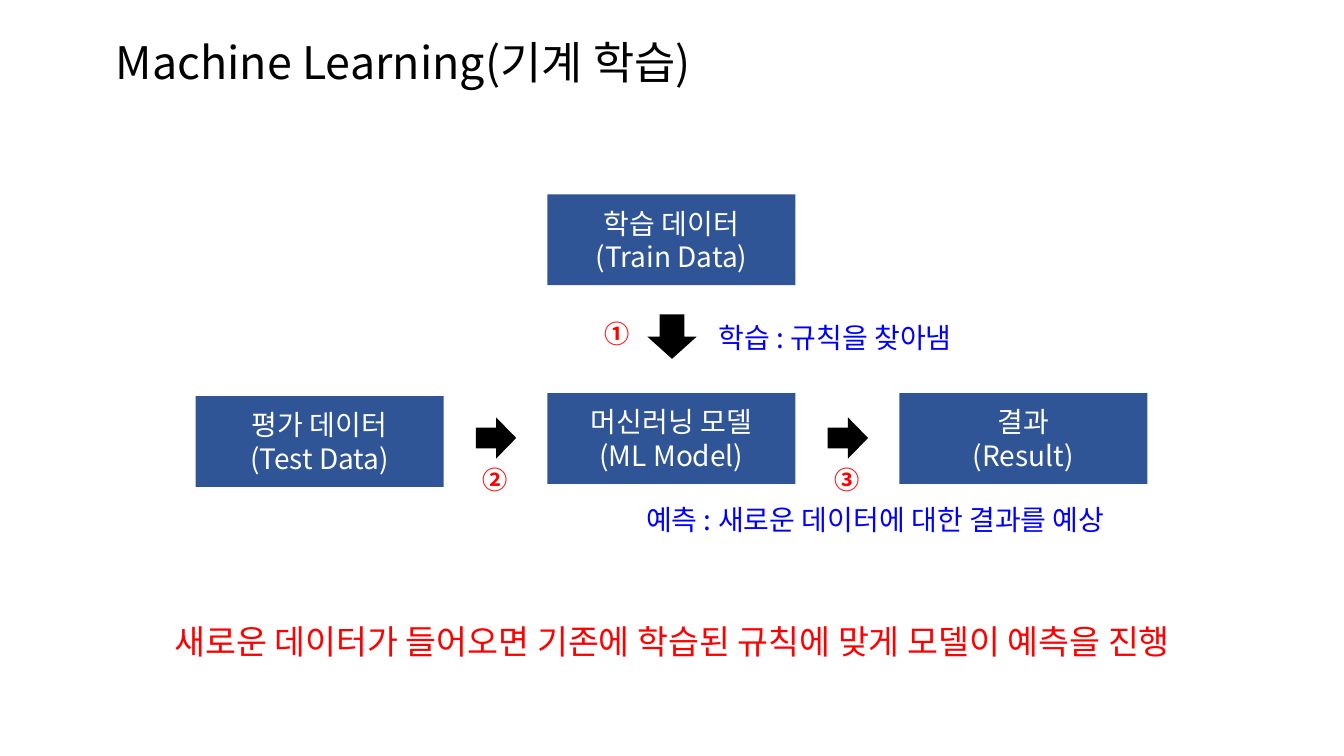
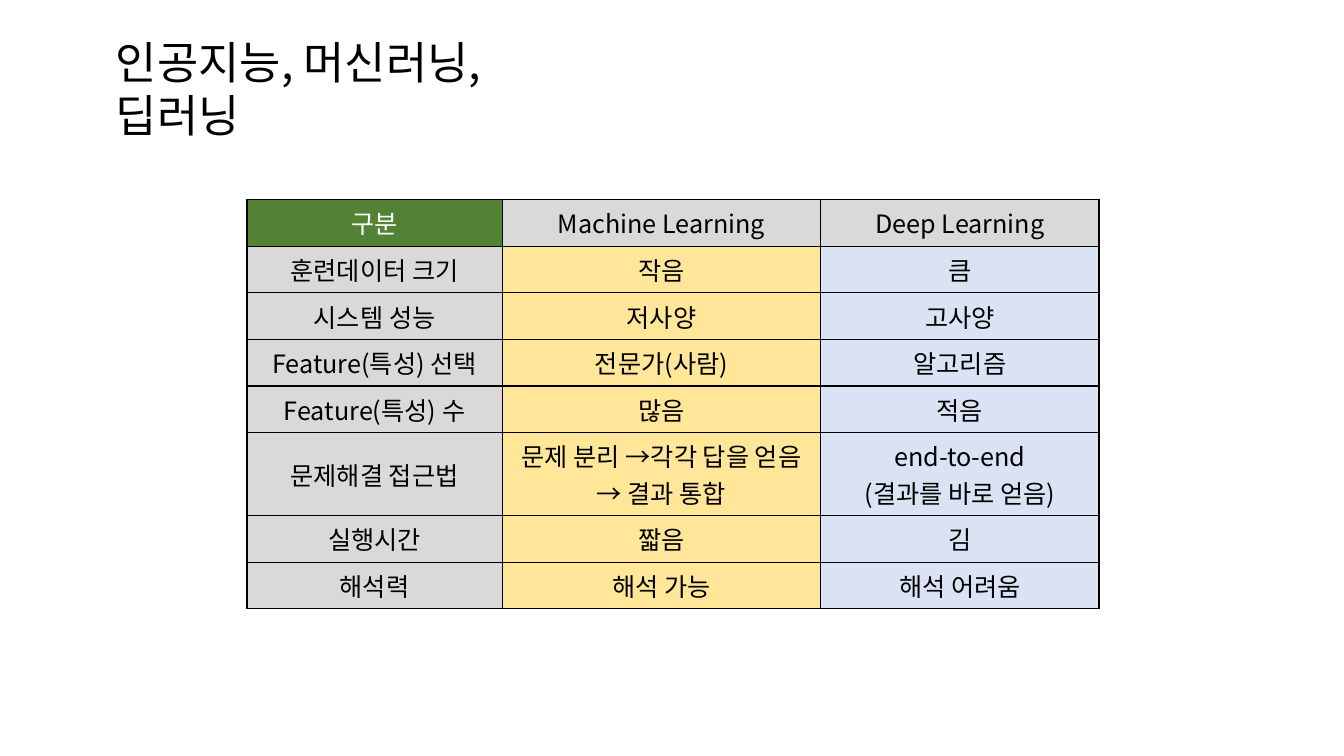
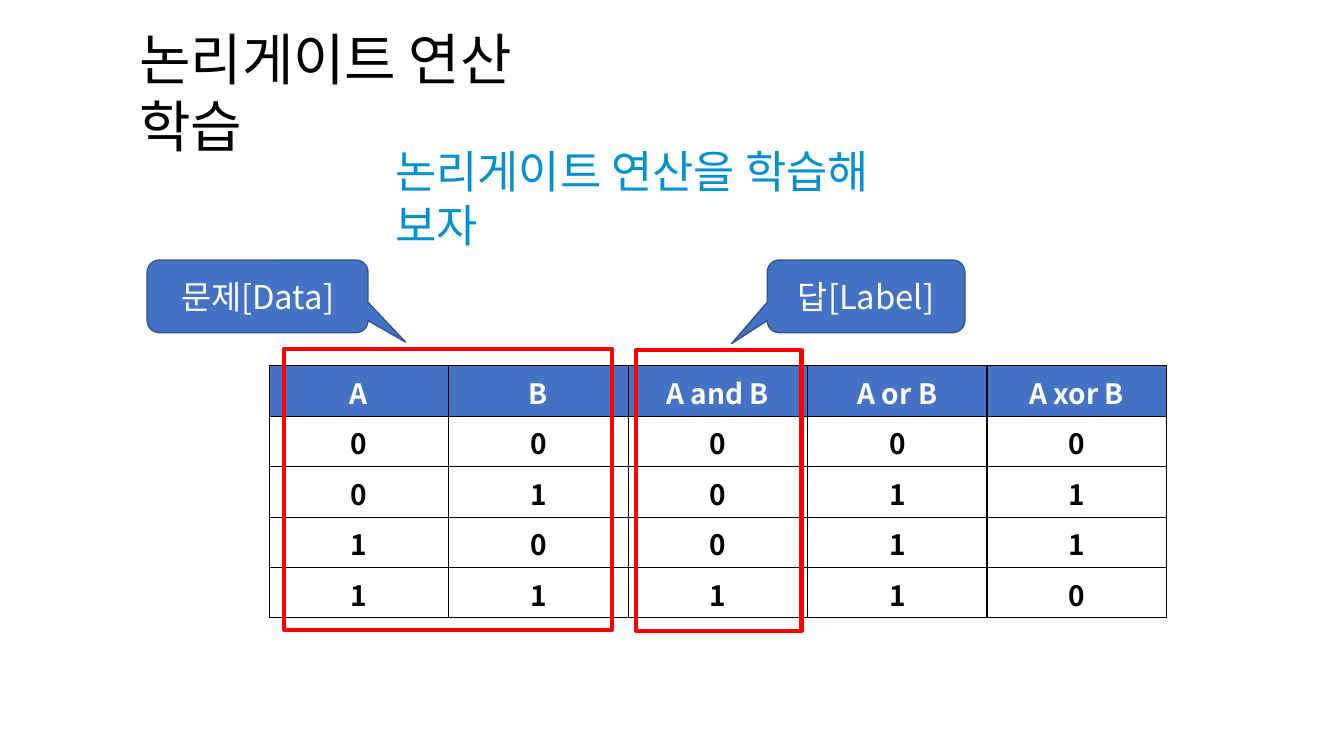
from pptx import Presentation
from pptx.dml.color import RGBColor
from pptx.enum.shapes import MSO_SHAPE
from pptx.enum.text import MSO_ANCHOR, MSO_AUTO_SIZE, PP_ALIGN
from pptx.oxml.ns import qn
from pptx.util import Inches, Pt
from lxml import etree

# Shared style
FONT = "Noto Sans CJK KR"
BLACK = RGBColor(0x00, 0x00, 0x00)
WHITE = RGBColor(0xFF, 0xFF, 0xFF)
RED = RGBColor(0xFF, 0x00, 0x00)
BLUE = RGBColor(0x00, 0x00, 0xFF)
SKY = RGBColor(0x00, 0x90, 0xD0)
NAVY = RGBColor(0x2F, 0x55, 0x97)
ACCENT = RGBColor(0x44, 0x72, 0xC4)
ACCENT_DARK = RGBColor(0x32, 0x54, 0x91)
GREEN = RGBColor(0x54, 0x82, 0x35)
GRAY = RGBColor(0xD9, 0xD9, 0xD9)
YELLOW = RGBColor(0xFF, 0xE6, 0x99)
PALE_BLUE = RGBColor(0xDA, 0xE3, 0xF3)
TITLE_ONLY = 5

# Slide 1: flow of machine learning
FLOW_LEFT, FLOW_STEP, FLOW_TOP = 1.94, 3.49, 3.9
BOX_WIDTH, BOX_HEIGHT = 2.46, 0.9
FLOW_BOXES = [  # column, top, text
    (1, 1.93, "학습 데이터\n(Train Data)"),
    (0, 3.93, "평가 데이터\n(Test Data)"),
    (1, FLOW_TOP, "머신러닝 모델\n(ML Model)"),
    (2, FLOW_TOP, "결과\n(Result)"),
]
FLOW_STEPS = ["②", "③"]
FLOW_NOTES = [  # position, text, size, colour, alignment
    ((7.03, 3.13, 2.63, 0.44), "학습 : 규칙을 찾아냄", 20, BLUE, PP_ALIGN.LEFT),
    ((6.31, 4.94, 5.07, 0.44), "예측 : 새로운 데이터에 대한 결과를 예상", 20, BLUE, PP_ALIGN.LEFT),
    ((1.27, 6.11, 10.79, 0.5), "새로운 데이터가 들어오면 기존에 학습된 규칙에 맞게 모델이 예측을 진행",
     24, RED, PP_ALIGN.CENTER),
]

# Slide 2: comparison table
COMPARISON = [
    ("구분", "Machine Learning", "Deep Learning"),
    ("훈련데이터 크기", "작음", "큼"),
    ("시스템 성능", "저사양", "고사양"),
    ("Feature(특성) 선택", "전문가(사람)", "알고리즘"),
    ("Feature(특성) 수", "많음", "적음"),
    ("문제해결 접근법", "문제 분리 →각각 답을 얻음 → 결과 통합", "end-to-end\n(결과를 바로 얻음)"),
    ("실행시간", "짧음", "김"),
    ("해석력", "해석 가능", "해석 어려움"),
]
APPROACH_ROW = 5

# Slide 3: truth table of logic gates
GATES = [("A", "B", "A and B", "A or B", "A xor B")] + [
    (a, b, a & b, a | b, a ^ b) for a in (0, 1) for b in (0, 1)
]
FRAMES = [(2.82, 3.46, 3.25, 2.79), (6.31, 3.47, 1.64, 2.79)]
CALLOUTS = [  # position, pointer, text
    ((1.46, 2.58, 2.19, 0.72), (0.67, 0.63), "문제[Data]"),
    ((7.61, 2.58, 1.96, 0.72), (-0.68, 0.65), "답[Label]"),
]


def inches(position):
    return [Inches(value) for value in position]


def write_text(frame, text, size=18, color=BLACK, bold=False, align=PP_ALIGN.LEFT,
               anchor=MSO_ANCHOR.TOP):
    """Write each line of text as one formatted paragraph."""
    frame.word_wrap = True
    frame.vertical_anchor = anchor
    for index, line in enumerate(text.split("\n")):
        paragraph = frame.paragraphs[0] if index == 0 else frame.add_paragraph()
        paragraph.alignment = align
        run = paragraph.add_run()
        run.text = line
        run.font.size = Pt(size)
        run.font.bold = bold
        run.font.color.rgb = color
        run.font.name = FONT
        east_asian = etree.SubElement(run.font._element, qn("a:ea"))
        east_asian.set("typeface", FONT)


def add_slide(presentation, title, position, size=32):
    slide = presentation.slides.add_slide(presentation.slide_layouts[TITLE_ONLY])
    shape = slide.shapes.title
    shape.left, shape.top, shape.width, shape.height = inches(position)
    shape.text_frame.auto_size = MSO_AUTO_SIZE.NONE
    write_text(shape.text_frame, title, size=size)
    return slide


def add_text(slide, position, text, **text_format):
    frame = slide.shapes.add_textbox(*inches(position)).text_frame
    write_text(frame, text, **text_format)
    return frame


def add_shape(slide, kind, position, fill=None, line=None, line_width=1):
    shape = slide.shapes.add_shape(kind, *inches(position))
    shape.shadow.inherit = False
    if fill is None:
        shape.fill.background()
    else:
        shape.fill.solid()
        shape.fill.fore_color.rgb = fill
    if line is None:
        shape.line.fill.background()
    else:
        shape.line.color.rgb = line
        shape.line.width = Pt(line_width)
    return shape


def add_borders(cell):
    properties = cell._tc.get_or_add_tcPr()
    for side in ("lnL", "lnR", "lnT", "lnB"):
        line = etree.SubElement(properties, qn(f"a:{side}"), w=str(Pt(1)))
        fill = etree.SubElement(line, qn("a:solidFill"))
        etree.SubElement(fill, qn("a:srgbClr"), val=str(BLACK))


def add_table(slide, left, top, widths, heights, rows, style):
    """Build a table; style(row, column) gives fill, margins and text format."""
    position = (left, top, sum(widths), sum(heights))
    table = slide.shapes.add_table(len(rows), len(widths), *inches(position)).table
    table.first_row = table.horz_banding = False
    for column, width in zip(table.columns, widths):
        column.width = Inches(width)
    for row, height in zip(table.rows, heights):
        row.height = Inches(height)
    for row_index, values in enumerate(rows):
        for column_index, value in enumerate(values):
            cell = table.cell(row_index, column_index)
            fill, (side, edge), text_format = style(row_index, column_index)
            add_borders(cell)
            cell.fill.solid()
            cell.fill.fore_color.rgb = fill
            cell.margin_left = cell.margin_right = Inches(side)
            cell.margin_top = cell.margin_bottom = Inches(edge)
            anchor = text_format.pop("anchor", MSO_ANCHOR.TOP)
            write_text(cell.text_frame, str(value), align=PP_ALIGN.CENTER, **text_format)
            cell.vertical_anchor = anchor


def comparison_style(row, column):
    if row == 0:
        fill = GREEN if column == 0 else GRAY
    else:
        fill = (GRAY, YELLOW, PALE_BLUE)[column]
    text_format = {"size": 18, "color": WHITE if fill == GREEN else BLACK}
    if (row, column) == (APPROACH_ROW, 0):
        text_format["anchor"] = MSO_ANCHOR.MIDDLE
    return fill, (0.1, 0.05), text_format


def gate_style(row, column):
    fill, color = (ACCENT, WHITE) if row == 0 else (WHITE, BLACK)
    return fill, (0.12, 0.06), {"size": 20, "color": color, "bold": True}


def build_flow(presentation):
    slide = add_slide(presentation, "Machine Learning(기계 학습)", (1.05, 0.29, 6.19, 0.64))
    for column, top, text in FLOW_BOXES:
        position = (FLOW_LEFT + column * FLOW_STEP, top, BOX_WIDTH, BOX_HEIGHT)
        box = add_shape(slide, MSO_SHAPE.RECTANGLE, position, fill=NAVY)
        write_text(box.text_frame, text, size=20, color=WHITE, align=PP_ALIGN.CENTER,
                   anchor=MSO_ANCHOR.MIDDLE)

    # Numbered arrows
    number_format = {"color": RED, "bold": True, "align": PP_ALIGN.CENTER}
    add_shape(slide, MSO_SHAPE.DOWN_ARROW, (6.42, 3.12, 0.49, 0.44), fill=BLACK)
    add_text(slide, (5.88, 3.11, 0.49, 0.4), "①", **number_format)
    for index, number in enumerate(FLOW_STEPS):
        offset = index * FLOW_STEP
        add_shape(slide, MSO_SHAPE.RIGHT_ARROW, (4.72 + offset, 4.14, 0.4, 0.41), fill=BLACK)
        add_text(slide, (4.67 + offset, 4.56, 0.49, 0.4), number, **number_format)

    for position, text, size, color, align in FLOW_NOTES:
        add_text(slide, position, text, size=size, color=color, align=align)


def build_comparison(presentation):
    slide = add_slide(presentation, "인공지능, 머신러닝, 딥러닝", (1.05, 0.29, 4.92, 0.64))
    heights = [0.37 if row == APPROACH_ROW else 0.41 for row in range(len(COMPARISON))]
    add_table(slide, 2.45, 1.98, [2.53, 3.16, 2.76], heights, COMPARISON, comparison_style)


def build_gates(presentation):
    slide = add_slide(presentation, "논리게이트 연산 학습", (1.28, 0.19, 4.8, 0.77), size=40)
    frame = add_text(slide, (3.79, 1.37, 5.75, 0.67), "논리게이트 연산을 학습해 보자",
                     size=32, color=SKY)
    frame.margin_left = frame.margin_right = Inches(0.13)
    frame.margin_top = frame.margin_bottom = Inches(0.06)
    add_table(slide, 2.67, 3.63, [1.78] * 5, [0.5] * 5, GATES, gate_style)

    # Frames around data and label columns, with callouts
    for position in FRAMES:
        add_shape(slide, MSO_SHAPE.RECTANGLE, position, line=RED, line_width=3)
    for position, pointer, text in CALLOUTS:
        callout = add_shape(slide, MSO_SHAPE.ROUNDED_RECTANGULAR_CALLOUT, position,
                            fill=ACCENT, line=ACCENT_DARK)
        callout.adjustments[0], callout.adjustments[1] = pointer
        write_text(callout.text_frame, text, size=23.4, color=WHITE,
                   align=PP_ALIGN.CENTER, anchor=MSO_ANCHOR.MIDDLE)


def main():
    presentation = Presentation()
    presentation.slide_width = Inches(13.33)
    presentation.slide_height = Inches(7.5)
    build_flow(presentation)
    build_comparison(presentation)
    build_gates(presentation)
    presentation.save("out.pptx")


if __name__ == "__main__":
    main()
